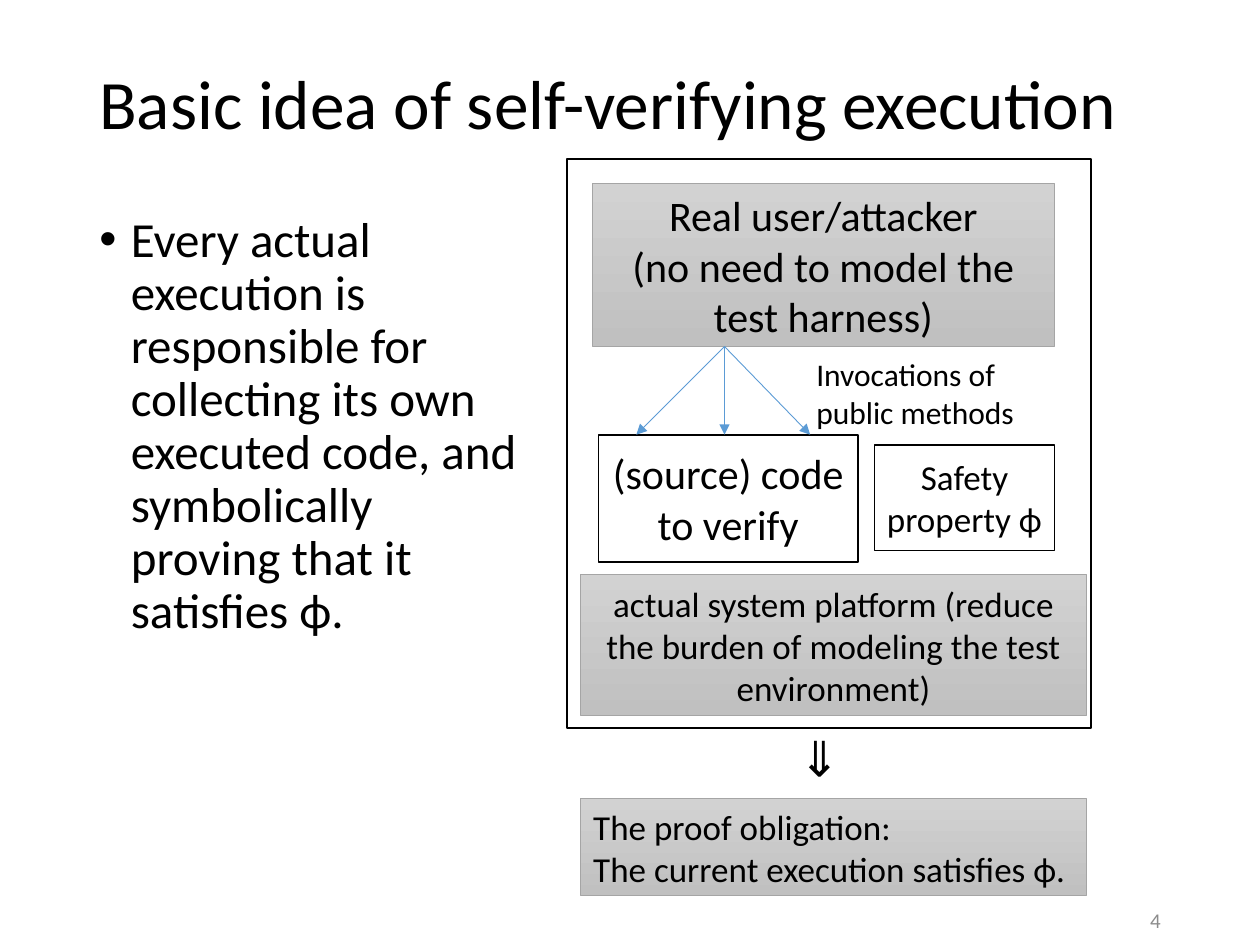
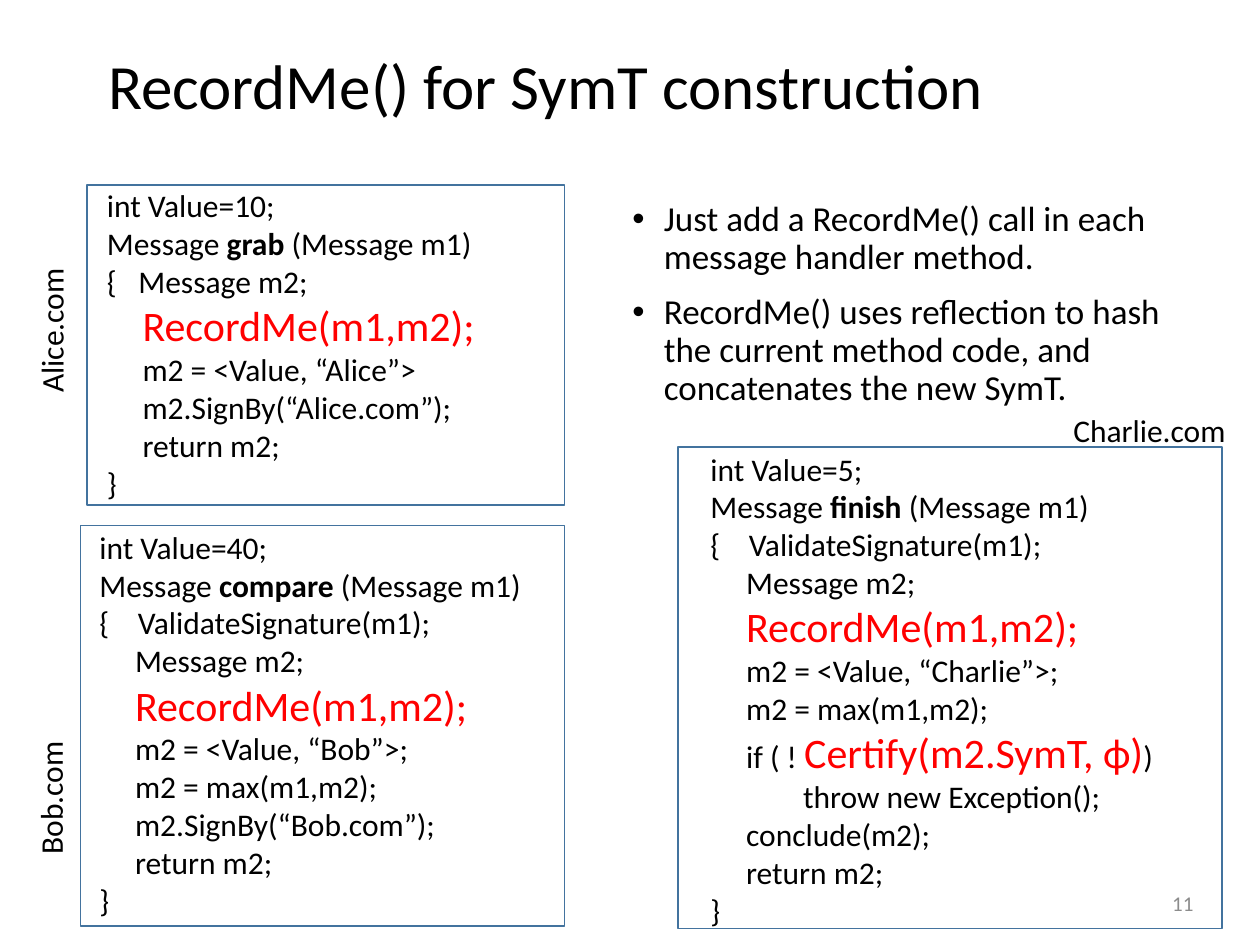
from lxml.etree import SubElement
from pptx import Presentation
from pptx.dml.color import RGBColor
from pptx.enum.shapes import MSO_CONNECTOR, MSO_SHAPE
from pptx.enum.text import MSO_ANCHOR, PP_ALIGN
from pptx.oxml.ns import qn
from pptx.util import Inches, Pt

FONT = "Calibri"
BLACK = RGBColor(0x00, 0x00, 0x00)
WHITE = RGBColor(0xFF, 0xFF, 0xFF)
RED = RGBColor(0xFF, 0x00, 0x00)
NUMBER_GRAY = RGBColor(0x8C, 0x8C, 0x8C)
GRAY_TOP = RGBColor(0xD2, 0xD2, 0xD2)
GRAY_BOTTOM = RGBColor(0xC0, 0xC0, 0xC0)
GRAY_EDGE = RGBColor(0xA5, 0xA5, 0xA5)
ARROW_BLUE = RGBColor(0x5B, 0x9B, 0xD5)
FRAME_BLUE = RGBColor(0x43, 0x73, 0x9E)

presentation = Presentation()
presentation.slide_width = Inches(10)
presentation.slide_height = Inches(7.5)
# The slide is a grid of 100 columns by 75 rows of square cells.
CELL = presentation.slide_width // 100


def add_text(slide, place, lines, size, color=BLACK, align=PP_ALIGN.LEFT,
             anchor=MSO_ANCHOR.TOP, shape=None):
    """Write lines into shape, or into a new text box at place.

    A line is a string or a list of (text, style) with style "", "bold" or "red".
    """
    shape = shape or slide.shapes.add_textbox(*[round(n * CELL) for n in place])
    frame = shape.text_frame
    frame.word_wrap = True
    frame.vertical_anchor = anchor
    for index, line in enumerate(lines):
        paragraph = frame.paragraphs[0] if index == 0 else frame.add_paragraph()
        paragraph.alignment = align
        for text, style in [(line, "")] if isinstance(line, str) else line:
            run = paragraph.add_run()
            run.text = text
            run.font.name = FONT
            run.font.size = Pt(24 if style == "red" else size)
            run.font.bold = style == "bold"
            run.font.color.rgb = RED if style == "red" else color
    return shape


def add_box(slide, place, fill, edge):
    """Add a rectangle; fill is a colour, "gray" for the gradient, or None."""
    box = slide.shapes.add_shape(MSO_SHAPE.RECTANGLE, *[round(n * CELL) for n in place])
    box.shadow.inherit = False
    box.line.color.rgb = edge
    box.line.width = Pt(0.5 if fill == "gray" else 1)
    if fill is None:
        box.fill.background()
    elif fill == "gray":
        box.fill.gradient()
        box.fill.gradient_angle = 270
        for stop, color in zip(box.fill.gradient_stops, (GRAY_TOP, GRAY_BOTTOM)):
            stop.color.rgb = color
    else:
        box.fill.solid()
        box.fill.fore_color.rgb = fill
    return box


# Titles, page numbers and bullets
pages = [
    dict(title="Basic idea of self-verifying execution", title_size=39.6,
         title_place=(6.9, 4, 86.2, 9), number="4", number_place=(70.6, 71, 22.5, 4),
         bullet_size=28, bullet_place=(6.9, 16.6, 35.5, 45.1),
         bullets=["Every actual execution is responsible for collecting its own "
                  "executed code, and symbolically proving that it satisfies ϕ."]),
    dict(title="RecordMe() for SymT construction", title_size=36,
         title_place=(7.6, 1.9, 92.1, 10.4), number="11", number_place=(73.2, 69.7, 22.5, 4),
         bullet_size=20, bullet_place=(49.2, 15.5, 47.9, 20),
         bullets=["Just add a RecordMe() call in each message handler method.",
                  "RecordMe() uses reflection to hash the current method code, "
                  "and concatenates the new SymT."]),
]
slides = []
for page in pages:
    slide = presentation.slides.add_slide(presentation.slide_layouts[6])
    slides.append(slide)
    title = add_text(slide, page["title_place"], [page["title"]], page["title_size"],
                     anchor=MSO_ANCHOR.MIDDLE)
    title.text_frame.paragraphs[0].line_spacing = 0.9
    add_text(slide, page["number_place"], [page["number"]], 12, NUMBER_GRAY,
             PP_ALIGN.RIGHT, MSO_ANCHOR.MIDDLE)
    body = add_text(slide, page["bullet_place"], page["bullets"], page["bullet_size"])
    for paragraph in body.text_frame.paragraphs:
        paragraph.line_spacing = 0.9
        paragraph.space_before = Pt(10)
        properties = paragraph._p.get_or_add_pPr()
        properties.set("marL", str(Inches(0.25)))
        properties.set("indent", str(-Inches(0.25)))
        SubElement(properties, qn("a:buFont"), typeface="Arial")
        SubElement(properties, qn("a:buChar"), char="•")

idea_slide, record_slide = slides

# Diagram of self-verifying execution
add_box(idea_slide, (45, 12.6, 41.6, 45.2), WHITE, BLACK)
diagram_boxes = [
    ((47.5, 34.5, 20.6, 10.1), WHITE, BLACK, 24, ["(source) code to verify"]),
    ((46.1, 45.6, 40.1, 11.2), "gray", GRAY_EDGE, 20,
     ["actual system platform (reduce the burden of modeling the test environment)"]),
    ((47, 14.6, 36.7, 12.9), "gray", GRAY_EDGE, 24,
     ["Real user/attacker", "(no need to model the test harness)"]),
    ((69.4, 35.3, 14.3, 8.4), WHITE, BLACK, 20, ["Safety property ϕ"]),
]
for place, fill, edge, size, lines in diagram_boxes:
    add_text(idea_slide, place, lines, size, align=PP_ALIGN.CENTER,
             anchor=MSO_ANCHOR.MIDDLE, shape=add_box(idea_slide, place, fill, edge))

proof_place = (46.1, 63.4, 40.1, 7.7)
proof = add_text(idea_slide, proof_place,
                 ["The proof obligation:", "The current execution satisfies ϕ."], 20,
                 shape=add_box(idea_slide, proof_place, "gray", GRAY_EDGE))
proof.text_frame.word_wrap = False
implies = add_text(idea_slide, (62.6, 57.5, 5.5, 5.7), ["⇒"], 28)
implies.rotation = 90
add_text(idea_slide, (63.8, 27.7, 18.1, 7.1), ["Invocations of public methods"], 18)

for target_column in (50.5, 57.5, 64.3):
    ends = (57.5, 27.5, target_column, 34.5)
    arrow = idea_slide.shapes.add_connector(MSO_CONNECTOR.STRAIGHT,
                                            *[round(n * CELL) for n in ends])
    arrow.line.color.rgb = ARROW_BLUE
    arrow.line.width = Pt(0.5)
    SubElement(arrow.line._get_or_add_ln(), qn("a:tailEnd"), type="triangle")
    SubElement(arrow._element.spPr, qn("a:effectLst"))

# Message handlers: each code line has an indent in grid columns
BODY, NESTED = 2.83, 7.35
record_call = (BODY, [("RecordMe(m1,m2);", "red")])
validate_lines = [(3.05, "{\tValidateSignature(m1);"), (BODY, "Message m2;"), record_call]
closing_lines = [(BODY, "return m2;"), (0, "}")]
handlers = [
    ((6.9, 14.7, 37.9, 25.4), (7.5, 14.3, 35.5, 26.3), "10", "grab",
     [(2.5, "{\tMessage m2;"), record_call, (BODY, "m2 = <Value, “Alice”>"),
      (BODY, "m2.SignBy(“Alice.com”);")]),
    ((6.4, 41.7, 38.4, 31.8), (6.9, 41.4, 36.1, 32.3), "40", "compare",
     [*validate_lines, (BODY, "m2 = <Value, “Bob”>;"), (BODY, "m2 = max(m1,m2);"),
      (BODY, "m2.SignBy(“Bob.com”);")]),
    ((53.8, 35.5, 43.2, 38.2), (55.4, 35.2, 40.1, 39.4), "5", "finish",
     [*validate_lines, (BODY, "m2 = <Value, “Charlie”>;"), (BODY, "m2 = max(m1,m2);"),
      (BODY, [("if ( ! ", ""), ("Certify(m2.SymT, ϕ)", "red"), (")", "")]),
      (NESTED, "throw new Exception();"), (BODY, "conclude(m2);")]),
]
for frame_place, code_place, value, method, middle_lines in handlers:
    add_box(record_slide, frame_place, None, FRAME_BLUE)
    code_lines = [
        (0, f"int Value={value};"),
        (0, [("Message ", ""), (method, "bold"), (" (Message m1)", "")]),
        *middle_lines, *closing_lines]
    code = add_text(record_slide, code_place, [line for _, line in code_lines], 18)
    for paragraph, (indent, line) in zip(code.text_frame.paragraphs, code_lines):
        properties = paragraph._p.get_or_add_pPr()
        properties.set("marL", str(round(indent * CELL)))
        hanging = "\t" in line
        properties.set("indent", str(-round(indent * CELL) if hanging else 0))

for host, place, rotation in [("Alice.com", (-4.7, 21.4, 17.5, 4), 270),
                              ("Bob.com", (-8.9, 53.9, 25.8, 4), 270),
                              ("Charlie.com", (84.2, 32.1, 15.4, 4), 0)]:
    add_text(record_slide, place, [host], 18).rotation = rotation

presentation.save("out.pptx")
